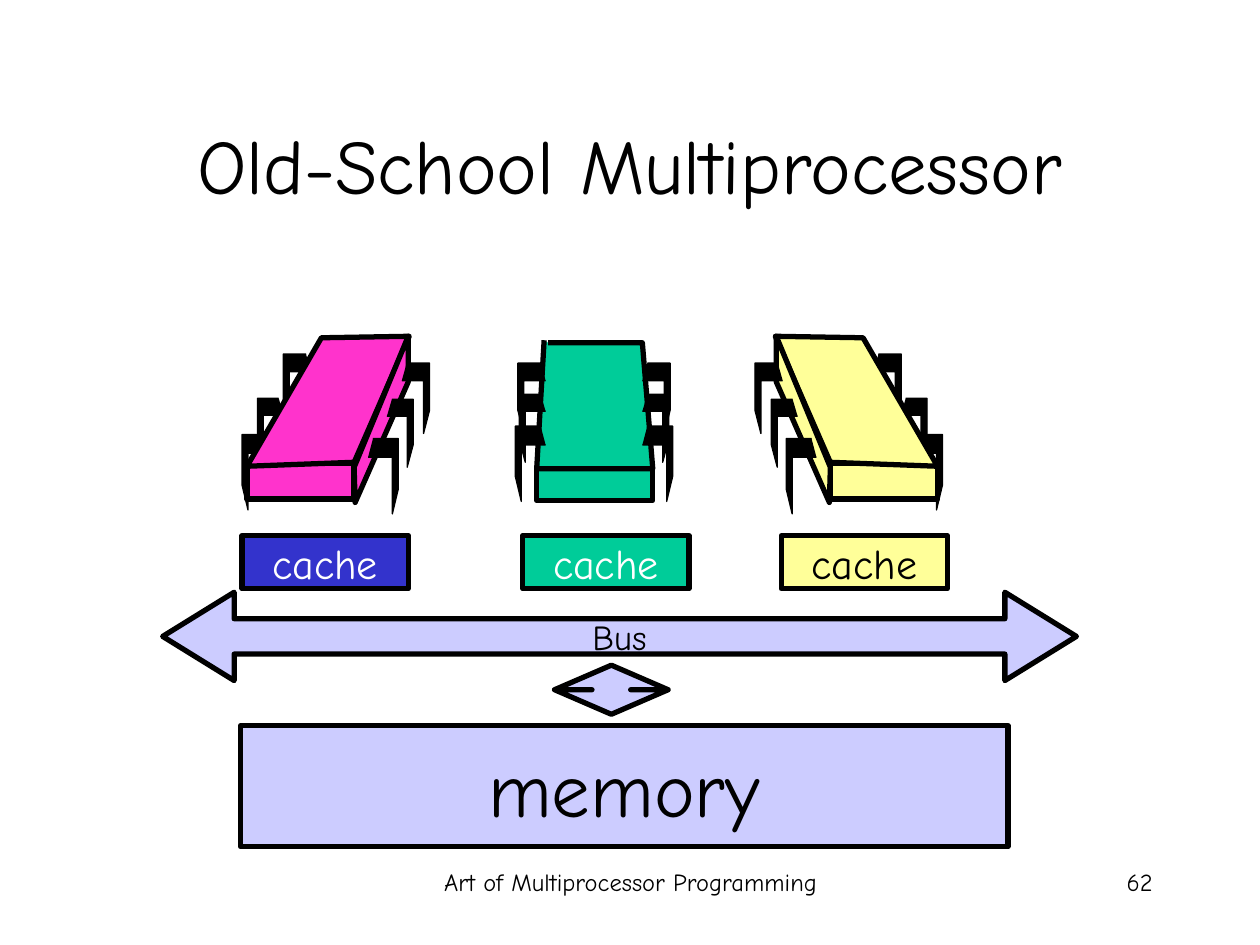
from typing import NamedTuple

from pptx import Presentation
from pptx import util as u
from pptx.dml.color import RGBColor
from pptx.enum import shapes, text

FONT = "Comic Neue"
BLACK = RGBColor(0x00, 0x00, 0x00)
WHITE = RGBColor(0xFF, 0xFF, 0xFF)
BLUE = RGBColor(0x33, 0x33, 0xCC)
LILAC = RGBColor(0xCC, 0xCC, 0xFF)
GREEN = RGBColor(0x00, 0xCC, 0x99)
PINK = RGBColor(0xFF, 0x33, 0xCC)
YELLOW = RGBColor(0xFF, 0xFF, 0x99)
KIND = shapes.MSO_SHAPE
ALIGN = text.PP_ALIGN
AXIS = 23.88  # a mirrored point has x = AXIS - x


class Box(NamedTuple):
    left: float
    top: float
    width: float
    height: float


class Leg(NamedTuple):
    x: float  # edge next to the chip
    y: float
    width: float
    height: float
    side: int  # 1 points right, -1 points left


class Cache(NamedTuple):
    left: float
    fill: RGBColor
    ink: RGBColor


# Leg sizes from front to back
SIZES = [(0.61, 1.52), (0.53, 1.37), (0.56, 1.42)]


def legs(spots: list, side: int) -> list[Leg]:
    return [Leg(x, y, w, h, side) for (x, y), (w, h) in zip(spots, SIZES)]


def place(item, box: Box) -> None:
    item.left, item.top, item.width, item.height = map(u.Cm, box)


def paint(item, fill: RGBColor, line: float = 3) -> None:
    item.shadow.inherit = False
    item.fill.solid()
    item.fill.fore_color.rgb = fill
    item.line.color.rgb = BLACK
    item.line.width = u.Pt(line)


def write(item, words: str, size: float, ink: RGBColor = BLACK,
          align=ALIGN.CENTER, anchor=text.MSO_ANCHOR.MIDDLE,
          wrap: bool = False) -> None:
    frame = item.text_frame
    frame.word_wrap = wrap
    frame.vertical_anchor = anchor
    para = frame.paragraphs[0]
    para.text = words
    para.alignment = align
    para.font.name = FONT
    para.font.size = u.Pt(size)
    para.font.color.rgb = ink


def block(tree, box: Box, fill: RGBColor, kind=KIND.RECTANGLE):
    item = tree.add_shape(kind, *map(u.Cm, box))
    paint(item, fill)
    return item


def trace(tree, points: list, fill: RGBColor, line: float = 3,
          close: bool = True, flip: bool = False) -> None:
    spots = [(u.Cm(AXIS - x if flip else x), u.Cm(y)) for x, y in points]
    form = tree.build_freeform(*spots[0])
    form.add_line_segments(spots[1:], close=close)
    paint(form.convert_to_shape(), fill, line)


def limb(tree, leg: Leg, flip: bool = False) -> None:
    x, y, w, h, side = leg
    bend = y + h / 4
    points = [(0.1, y), (w, y), (w, y + h * 0.67), (w - 0.12, y + h),
              (w - 0.12, bend), (0, bend)]
    trace(tree, [(x + side * dx, py) for dx, py in points],
          BLACK, 0.75, close=False, flip=flip)


def slant(slide, fill: RGBColor, flip: bool) -> None:
    """Draw a chip leaning right, or left when flipped."""
    tree = slide.shapes.add_group_shape().shapes
    front = Box(4.98, 9.35, 2.16, 0.71)
    if flip:
        front = front._replace(left=AXIS - front.left - front.width)
    block(tree, front, fill)
    for leg in legs([(5.49, 8.76), (5.72, 8.03), (6.27, 7.14)], -1):
        limb(tree, leg, flip)
    top = [(4.98, 9.4), (7.14, 9.32), (8.25, 6.78), (6.48, 6.81)]
    edge = [(8.23, 6.78), (8.23, 7.7), (7.16, 10.13), (7.14, 9.42)]
    for face in (top, edge):
        trace(tree, face, fill, flip=flip)
    for leg in legs([(7.42, 8.84), (7.8, 8.05), (8.1, 7.32)], 1):
        limb(tree, leg, flip)


def upright(slide, fill: RGBColor) -> None:
    """Draw the chip seen head on."""
    tree = slide.shapes.add_group_shape().shapes
    block(tree, Box(10.82, 9.45, 2.34, 0.64), fill)
    top = [(11.05, 6.91), (12.95, 6.91), (13.16, 9.45), (10.82, 9.45),
           (10.97, 6.86)]
    trace(tree, top, fill, close=False)
    for x, side in ((12.95, 1), (11, -1)):
        for leg in legs([(x, 8.59), (x, 7.95), (x, 7.32)], side):
            limb(tree, leg)


def main() -> None:
    deck = Presentation()
    deck.slide_width, deck.slide_height = u.Cm(25.4), u.Cm(19.05)
    slide = deck.slides.add_slide(deck.slide_layouts[5])
    tree = slide.shapes

    # Title
    place(tree.title, Box(1.9, 1.7, 21.6, 3.18))
    write(tree.title, "Old-School Multiprocessor", 44, wrap=True)

    # Footer and slide number
    for words, box, align in (
        ("Art of Multiprocessor Programming",
         Box(8.69, 17.35, 8.05, 1.27), ALIGN.CENTER),
        ("62", Box(18.21, 17.35, 5.28, 1.27), ALIGN.RIGHT),
    ):
        note = tree.add_textbox(*map(u.Cm, box))
        write(note, words, 14, align=align,
              anchor=text.MSO_ANCHOR.TOP, wrap=True)

    # Processors
    upright(slide, GREEN)
    slant(slide, PINK, flip=False)
    slant(slide, YELLOW, flip=True)

    # Caches; the bus covers the foot of the first one
    caches = [Cache(4.88, BLUE, WHITE), Cache(10.54, GREEN, WHITE),
              Cache(15.75, YELLOW, BLACK)]
    for left, fill, ink in caches:
        item = block(tree, Box(left, 10.8, 3.35, 1.07), fill)
        write(item, "cache", 24, ink)

    # Bus, memory and the link between them
    bus = block(tree, Box(3.28, 11.94, 18.42, 1.78), LILAC,
                KIND.LEFT_RIGHT_ARROW)
    bus.adjustments[0], bus.adjustments[1] = 0.4, 0.81
    write(bus, "Bus", 20)
    store = block(tree, Box(4.85, 14.63, 15.47, 2.44), LILAC)
    write(store, "memory", 44)
    link = block(tree, Box(11.18, 13.41, 2.29, 0.99), LILAC,
                 KIND.UP_DOWN_ARROW)
    link.adjustments[0], link.adjustments[1] = 0.5, 0.34

    deck.save("out.pptx")


if __name__ == "__main__":
    main()
